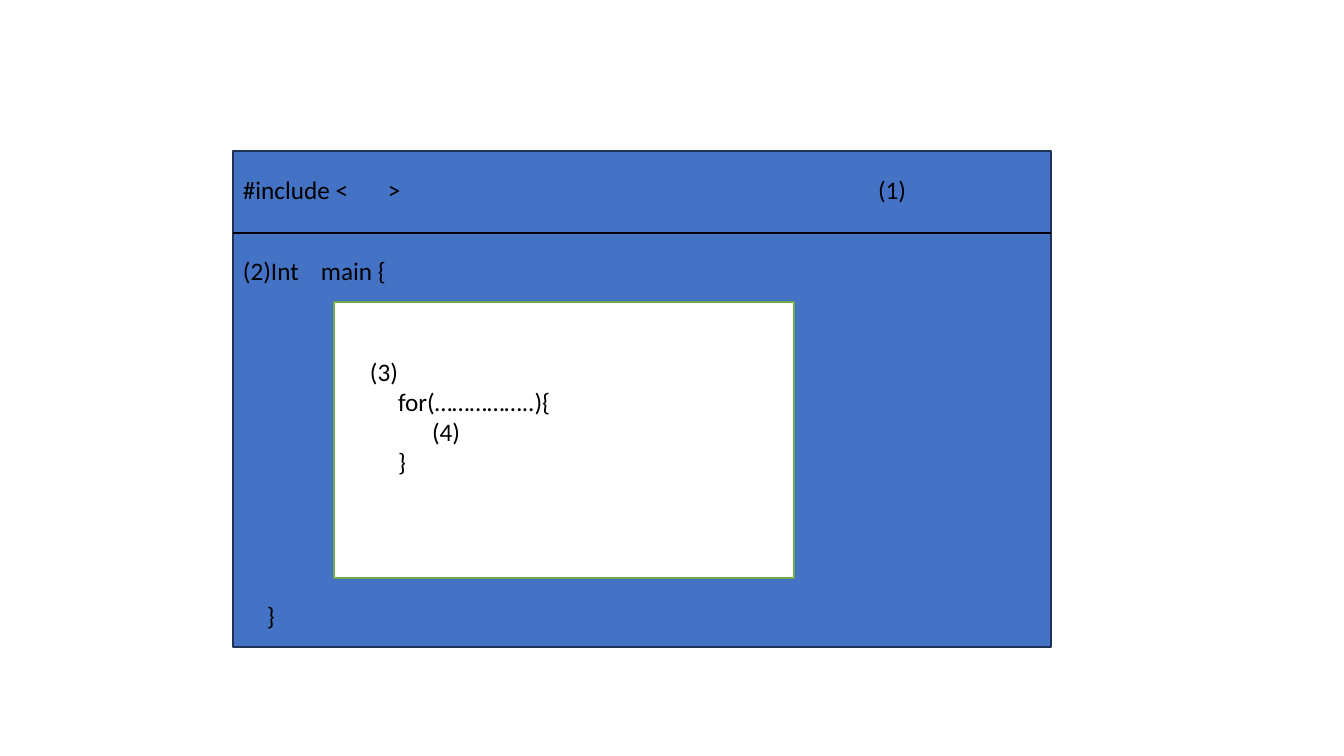
from lxml.etree import SubElement
from pptx import Presentation
from pptx.dml.color import RGBColor
from pptx.enum.shapes import MSO_CONNECTOR, MSO_SHAPE
from pptx.enum.text import MSO_AUTO_SIZE
from pptx.oxml.ns import qn
from pptx.util import Inches, Pt

PX = 914400 / 100.8
BLACK = RGBColor(0x00, 0x00, 0x00)
WHITE = RGBColor(0xFF, 0xFF, 0xFF)
BLUE = RGBColor(0x44, 0x72, 0xC4)
NAVY = RGBColor(0x1E, 0x32, 0x56)
GREEN = RGBColor(0x70, 0xAD, 0x47)


def emu(*nums):
    """Turn whole px into EMU."""
    return [round(n * PX) for n in nums]


class Sketch:
    """Draws boxes, lines and code text on one slide."""

    font = {"name": "Calibri", "size": Pt(18)}
    frame = {"word_wrap": True, "auto_size": MSO_AUTO_SIZE.SHAPE_TO_FIT_TEXT}

    def __init__(self, slide):
        self.shapes = slide.shapes

    def box(self, x, y, w, h, fill, edge):
        shape = self.shapes.add_shape(MSO_SHAPE.RECTANGLE, *emu(x, y, w, h))
        shape.shadow.inherit = False
        shape.fill.solid()
        shape.fill.fore_color.rgb = fill
        shape.line.color.rgb = edge
        shape.line.width = Pt(1)

    def rule(self, x, y, end):
        line = self.shapes.add_connector(MSO_CONNECTOR.STRAIGHT, *emu(x, y, end, y))
        line.line.color.rgb = BLACK
        line.line.width = Pt(1.5)
        SubElement(line._element.spPr, qn("a:effectLst"))

    def text(self, x, y, w, h, lines, tabs=()):
        frame = self.shapes.add_textbox(*emu(x, y, w, h)).text_frame
        for key, val in self.frame.items():
            setattr(frame, key, val)
        for i, (left, words) in enumerate(lines):
            para = frame.add_paragraph() if i else frame.paragraphs[0]
            run = para.add_run()
            run.text = words
            for key, val in self.font.items():
                setattr(run.font, key, val)
            run.font.color.rgb = BLACK
            props = para._p.get_or_add_pPr()
            props.set("marL", str(*emu(left)))
            if tabs:
                stops = SubElement(props, qn("a:tabLst"))
                for pos in emu(*tabs):
                    SubElement(stops, qn("a:tab"), pos=str(pos), algn="l")


def main():
    deck = Presentation()
    deck.slide_width, deck.slide_height = Inches(13.33), Inches(7.5)
    art = Sketch(deck.slides.add_slide(deck.slide_layouts[6]))
    left, wide, step = 233, 818, 34
    art.box(left, 151, wide, 496, BLUE, NAVY)
    art.rule(left, 233, left + wide)
    art.text(left, 250, 428, 40, [(0, "(2)Int\tmain {")], [78])
    art.box(334, 302, 460, 276, WHITE, GREEN)
    art.text(left, 169, 713, 40, [(0, "#include <\t>\t(1)")], [145, 635])
    art.text(257, 595, 439, 40, [(0, "}")])
    loop = [(6, "(3)"), (step, "for(……………..){"), (2 * step, "(4)"), (step, "}")]
    art.text(354, 351, 428, 132, loop)
    deck.save("out.pptx")


if __name__ == "__main__":
    main()
